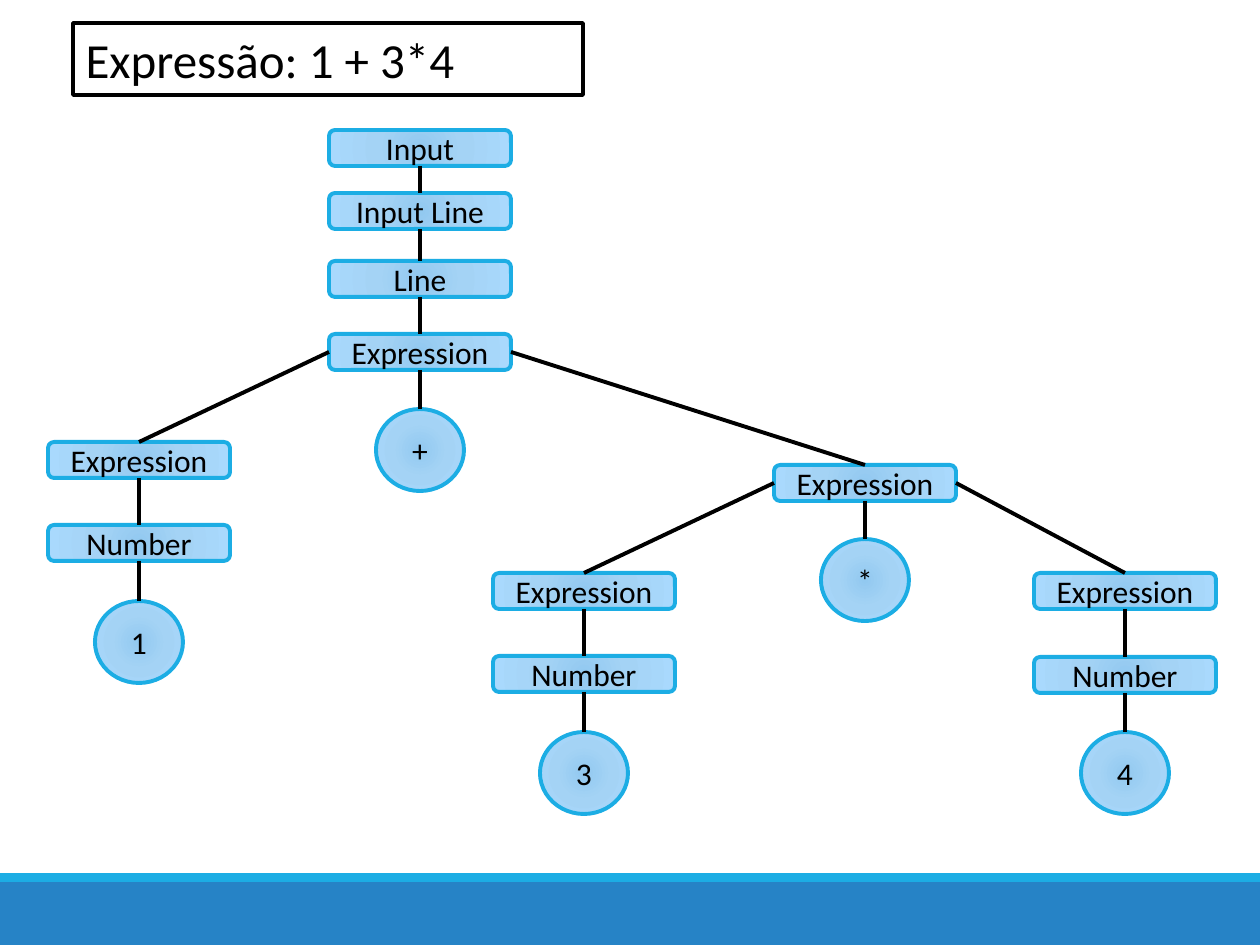
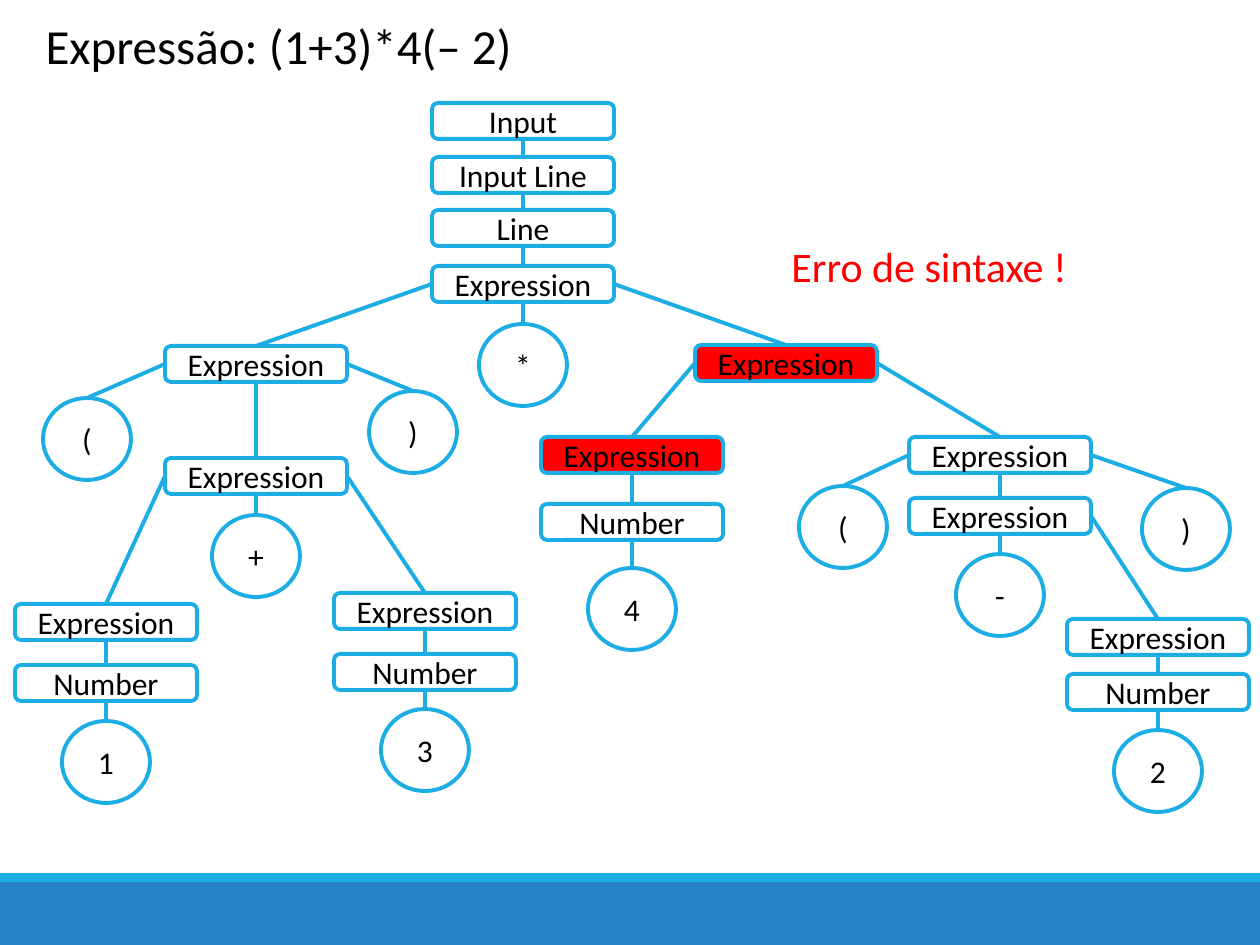
from dataclasses import dataclass

from lxml import etree
from pptx import Presentation
from pptx.dml.color import RGBColor
from pptx.enum.shapes import MSO_CONNECTOR, MSO_SHAPE
from pptx.enum.text import MSO_ANCHOR, MSO_AUTO_SIZE, PP_ALIGN
from pptx.oxml.ns import qn
from pptx.util import Pt

EMU_PER_PX = 914400 / 126
SLIDE_W, SLIDE_H = 1260, 945
BOX_W, BOX_H = 182, 36
CIRCLE_W, CIRCLE_H = 88, 82
TOP_SITE, LEFT_SITE, BOTTOM_SITE, RIGHT_SITE = range(4)
SAME_COLUMN = 5

RECT = MSO_SHAPE.RECTANGLE
ROUNDED = MSO_SHAPE.ROUNDED_RECTANGLE
OVAL = MSO_SHAPE.OVAL
STRAIGHT = MSO_CONNECTOR.STRAIGHT
LEFT, CENTER = PP_ALIGN.LEFT, PP_ALIGN.CENTER
TOP, MIDDLE = MSO_ANCHOR.TOP, MSO_ANCHOR.MIDDLE
NO_AUTOFIT = MSO_AUTO_SIZE.NONE


@dataclass(frozen=True)
class Theme:
    font: str = "Calibri"
    text: str = "000000"
    white: str = "FFFFFF"
    accent: str = "1CADE4"
    band: str = "2683C6"
    error: str = "FF0000"
    glow: tuple = ((0, "92C9F0"), (45, "A4D3F5"), (100, "A9D9FD"))
    title_size: int = 28
    note_size: int = 24
    node_size: int = 18
    line_width: float = 2.25


THEME = Theme()


@dataclass
class Node:
    label: str
    cx: int
    top: int
    children: tuple = ()
    error: bool = False


@dataclass(frozen=True)
class TreeStyle:
    glowing: bool
    edge: str


def px(value):
    return round(value * EMU_PER_PX)


def rgb(value):
    return RGBColor.from_string(value)


def chain(labels, cx, tops, *children):
    """Stack one node per label; the last one holds the children."""
    for label, top in reversed(list(zip(labels, tops))):
        children = (Node(label, cx, top, children),)
    return children[0]


def root(cx, tops, *children):
    return chain(("Input", "Input Line", "Line", "Expression"), cx, tops, *children)


def number(value, cx, tops):
    return chain(("Expression", "Number", value), cx, tops)


def expression(cx, top, *children, error=False):
    return Node("Expression", cx, top, children, error)


def write(tf, text, size, color=THEME.text, align=LEFT, anchor=TOP):
    tf.word_wrap = True
    tf.auto_size = NO_AUTOFIT
    tf.vertical_anchor = anchor
    p = tf.paragraphs[0]
    p.alignment = align
    r = p.add_run()
    r.text = text
    r.font.name = THEME.font
    r.font.size = Pt(size)
    r.font.color.rgb = rgb(color)


def set_line(line, color):
    line.color.rgb = rgb(color)
    line.width = Pt(THEME.line_width)


def fill_solid(sp, color):
    sp.fill.solid()
    sp.fill.fore_color.rgb = rgb(color)


def fill_glow(sp):
    """Fill the shape with the theme's radial gradient."""
    sp.fill.background()
    grad = etree.Element(qn("a:gradFill"), rotWithShape="1")
    stops = etree.SubElement(grad, qn("a:gsLst"))
    for position, color in THEME.glow:
        stop = etree.SubElement(stops, qn("a:gs"), pos=str(position * 1000))
        etree.SubElement(stop, qn("a:srgbClr"), val=color)
    circle = etree.SubElement(grad, qn("a:path"), path="circle")
    etree.SubElement(circle, qn("a:fillToRect"), dict.fromkeys("ltrb", "100000"))
    spPr = sp.element.spPr
    spPr.replace(spPr.find(qn("a:noFill")), grad)


def add_shape(slide, kind, x, y, w, h):
    sp = slide.shapes.add_shape(kind, px(x), px(y), px(w), px(h))
    sp.shadow.inherit = False
    return sp


def add_node(slide, node, style):
    is_symbol = len(node.label) == 1
    kind, w, h = (OVAL, CIRCLE_W, CIRCLE_H) if is_symbol else (ROUNDED, BOX_W, BOX_H)
    sp = add_shape(slide, kind, node.cx - w // 2, node.top, w, h)
    if style.glowing:
        fill_glow(sp)
    else:
        fill_solid(sp, THEME.error if node.error else THEME.white)
    set_line(sp.line, THEME.accent)
    write(sp.text_frame, node.label, THEME.node_size, align=CENTER, anchor=MIDDLE)
    return sp


def add_edge(slide, parent, site, child, color):
    edge = slide.shapes.add_connector(STRAIGHT, 0, 0, 0, 0)
    edge.begin_connect(parent, site)
    edge.end_connect(child, TOP_SITE)
    set_line(edge.line, color)
    etree.SubElement(edge.element.spPr, qn("a:effectLst"))


def exit_site(parent, child):
    offset = child.cx - parent.cx
    if abs(offset) < SAME_COLUMN:
        return BOTTOM_SITE
    return LEFT_SITE if offset < 0 else RIGHT_SITE


def add_tree(slide, node, style):
    """Draw the node and everything below it, and return the node's shape."""
    sp = add_node(slide, node, style)
    for child in node.children:
        child_sp = add_tree(slide, child, style)
        add_edge(slide, sp, exit_site(node, child), child_sp, style.edge)
    return sp


def add_title(slide, text, x, y):
    title = slide.shapes.title
    title.left, title.top, title.width, title.height = map(px, (x, y, 510, 72))
    write(title.text_frame, text, THEME.title_size)
    return title


def add_note(slide, text, x, y, w, h):
    box = slide.shapes.add_textbox(px(x), px(y), px(w), px(h))
    write(box.text_frame, text, THEME.note_size, THEME.error)


def add_master_bands(prs, slide):
    """Make the footer bands and move them to the slide master."""
    tree = prs.slide_master.shapes.element
    for y, h, color in ((873, 9, THEME.accent), (882, 63, THEME.band)):
        band = add_shape(slide, RECT, 0, y, SLIDE_W, h)
        fill_solid(band, color)
        band.line.fill.background()
        tree.insert(2, band.element)


def build_valid_expression(slide):
    title = add_title(slide, "Expressão: 1 + 3*4", 73, 23)
    set_line(title.line, THEME.text)
    product = expression(
        865, 465,
        number("3", 584, (573, 656, 732)),
        Node("*", 865, 539),
        number("4", 1125, (573, 657, 732)),
    )
    tree = root(
        420, (130, 193, 261, 334),
        number("1", 139, (442, 525, 601)),
        Node("+", 420, 409),
        product,
    )
    add_tree(slide, tree, TreeStyle(glowing=True, edge=THEME.text))


def build_syntax_error(slide):
    add_title(slide, "Expressão: (1+3)*4(– 2)", 33, 9)
    total = expression(
        256, 458,
        number("1", 106, (604, 665, 721)),
        Node("+", 256, 515),
        number("3", 425, (593, 654, 709)),
    )
    negative = expression(
        1000, 498,
        Node("-", 1000, 554),
        number("2", 1158, (619, 674, 730)),
    )
    four = number("4", 632, (437, 504, 568))
    four.error = True
    tree = root(
        523, (103, 157, 210, 266),
        expression(256, 346, Node("(", 87, 398), total, Node(")", 413, 391)),
        Node("*", 523, 324),
        expression(
            786, 345,
            four,
            expression(1000, 437, Node("(", 843, 486), negative, Node(")", 1186, 488)),
            error=True,
        ),
    )
    add_tree(slide, tree, TreeStyle(glowing=False, edge=THEME.accent))
    add_note(slide, "Erro de sintaxe !", 779, 234, 420, 63)


def main():
    prs = Presentation()
    prs.slide_width, prs.slide_height = px(SLIDE_W), px(SLIDE_H)
    title_only = prs.slide_layouts[5]
    slides = [prs.slides.add_slide(title_only) for _ in range(2)]
    add_master_bands(prs, slides[0])
    build_valid_expression(slides[0])
    build_syntax_error(slides[1])
    prs.save("out.pptx")


if __name__ == "__main__":
    main()
